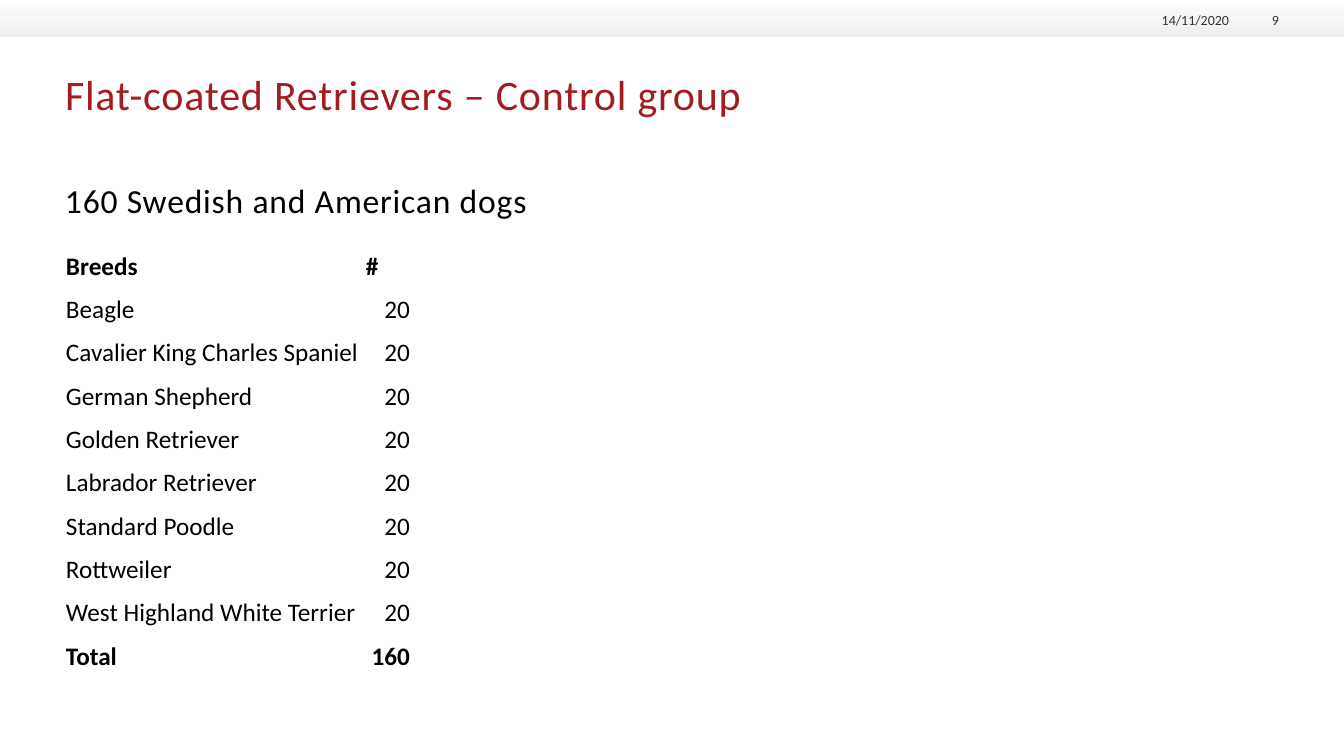
"""Build the slide on the control group of Flat-coated Retrievers."""
import dataclasses

import lxml.etree
import pptx
import pptx.dml.color
import pptx.enum.shapes
import pptx.enum.text
import pptx.oxml.ns
import pptx.util

ALIGN = pptx.enum.text.PP_ALIGN
ANCHOR = pptx.enum.text.MSO_ANCHOR


@dataclasses.dataclass
class Theme:
    font: str = "Calibri"
    title: str = "A31D20"
    body: str = "000000"
    meta: str = "333333"
    bar: tuple = ("FFFFFF", "EEEFEE")
    bar_alpha: int = 93
    title_size: int = 30
    lead_size: int = 24
    table_size: int = 18
    meta_size: int = 10
    tracking: int = 60


class Deck:
    PX = 914400 / 100.8

    def __init__(self, theme):
        self.theme = theme
        self.prs = pptx.Presentation()
        self.prs.slide_width, self.prs.slide_height = self.px(1344), self.px(756)
        self.s = self.prs.slides.add_slide(self.prs.slide_layouts[5])

    def px(self, n):
        return pptx.util.Emu(round(n * self.PX))

    def box(self, *at):
        return [self.px(n) for n in at]

    def run(self, p, text, size, color, bold=False, tracking=0):
        r = p.add_run()
        r.text = text
        r.font.name = self.theme.font
        r.font.size = pptx.util.Pt(size)
        r.font.bold = bold
        r.font.color.rgb = pptx.dml.color.RGBColor.from_string(color)
        if tracking:
            r.font._element.set("spc", str(tracking))

    def frame(self, sp, anchor, align):
        tf = sp.text_frame
        tf.word_wrap = True
        tf.vertical_anchor = anchor
        tf.margin_left = tf.margin_top = tf.margin_right = tf.margin_bottom = 0
        p = tf.paragraphs[0]
        p.alignment = align
        return p

    def bar(self, *at):
        sp = self.s.shapes.add_shape(pptx.enum.shapes.MSO_SHAPE.RECTANGLE, *self.box(*at))
        sp.shadow.inherit = False
        sp.line.fill.background()
        sp.fill.gradient()
        sp.fill.gradient_angle = 270
        for stop, position, color in zip(sp.fill.gradient_stops, (0, 1), self.theme.bar):
            stop.position = position
            stop.color.rgb = pptx.dml.color.RGBColor.from_string(color)
        qn = pptx.oxml.ns.qn
        last = list(sp._element.spPr.iter(qn("a:srgbClr")))[-1]
        alpha = lxml.etree.SubElement(last, qn("a:alpha"))
        alpha.set("val", str(self.theme.bar_alpha * 1000))

    def title(self, text, *at):
        sp = self.s.shapes.title
        sp.left, sp.top, sp.width, sp.height = self.box(*at)
        p = self.frame(sp, ANCHOR.TOP, ALIGN.LEFT)
        self.run(p, text, self.theme.title_size, self.theme.title, tracking=self.theme.tracking)

    def lead(self, text, *at):
        sp = self.s.shapes.add_textbox(*self.box(*at))
        p = self.frame(sp, ANCHOR.TOP, ALIGN.LEFT)
        p.space_before = pptx.util.Pt(10)
        self.run(p, text, self.theme.lead_size, self.theme.body, tracking=self.theme.tracking)

    def meta(self, text, *at):
        sp = self.s.shapes.add_textbox(*self.box(*at))
        p = self.frame(sp, ANCHOR.BOTTOM, ALIGN.RIGHT)
        self.run(p, text, self.theme.meta_size, self.theme.meta)

    def table(self, rows, left, top, widths, row_height, height):
        gf = self.s.shapes.add_table(
            len(rows), len(widths), *self.box(left, top, sum(widths), height))
        table = gf.table
        table.first_row = table.horz_banding = False
        for column, width in zip(table.columns, widths):
            column.width = self.px(width)
        for i, values in enumerate(rows):
            table.rows[i].height = self.px(row_height)
            for j, value in enumerate(values):
                cell = table.cell(i, j)
                cell.fill.background()
                cell.vertical_anchor = ANCHOR.BOTTOM
                cell.margin_left = cell.margin_top = cell.margin_right = self.px(1)
                cell.margin_bottom = 0
                p = cell.text_frame.paragraphs[0]
                p.line_spacing = 1.4
                p.alignment = ALIGN.RIGHT if i and j else ALIGN.LEFT
                self.run(p, value, self.theme.table_size, self.theme.body,
                         bold=i in (0, len(rows) - 1))
        gf.height = self.px(height)


def main():
    breeds = ["Beagle", "Cavalier King Charles Spaniel", "German Shepherd",
              "Golden Retriever", "Labrador Retriever", "Standard Poodle",
              "Rottweiler", "West Highland White Terrier"]
    dogs = 20
    rows = [("Breeds", "#")]
    rows += [(breed, str(dogs)) for breed in breeds]
    rows.append(("Total", str(dogs * len(breeds))))

    deck = Deck(Theme())
    deck.bar(0, 0, 1344, 37)
    deck.title("Flat-coated Retrievers – Control group", 65, 69, 1214, 96)
    deck.lead("160 Swedish and American dogs", 65, 180, 526, 515)
    deck.meta("14/11/2020", 1139, 9, 90, 19)
    deck.meta("9", 1237, 9, 42, 19)
    deck.table(rows, 65, 238, (300, 46), 22, 362)
    deck.prs.save("out.pptx")


if __name__ == "__main__":
    main()
